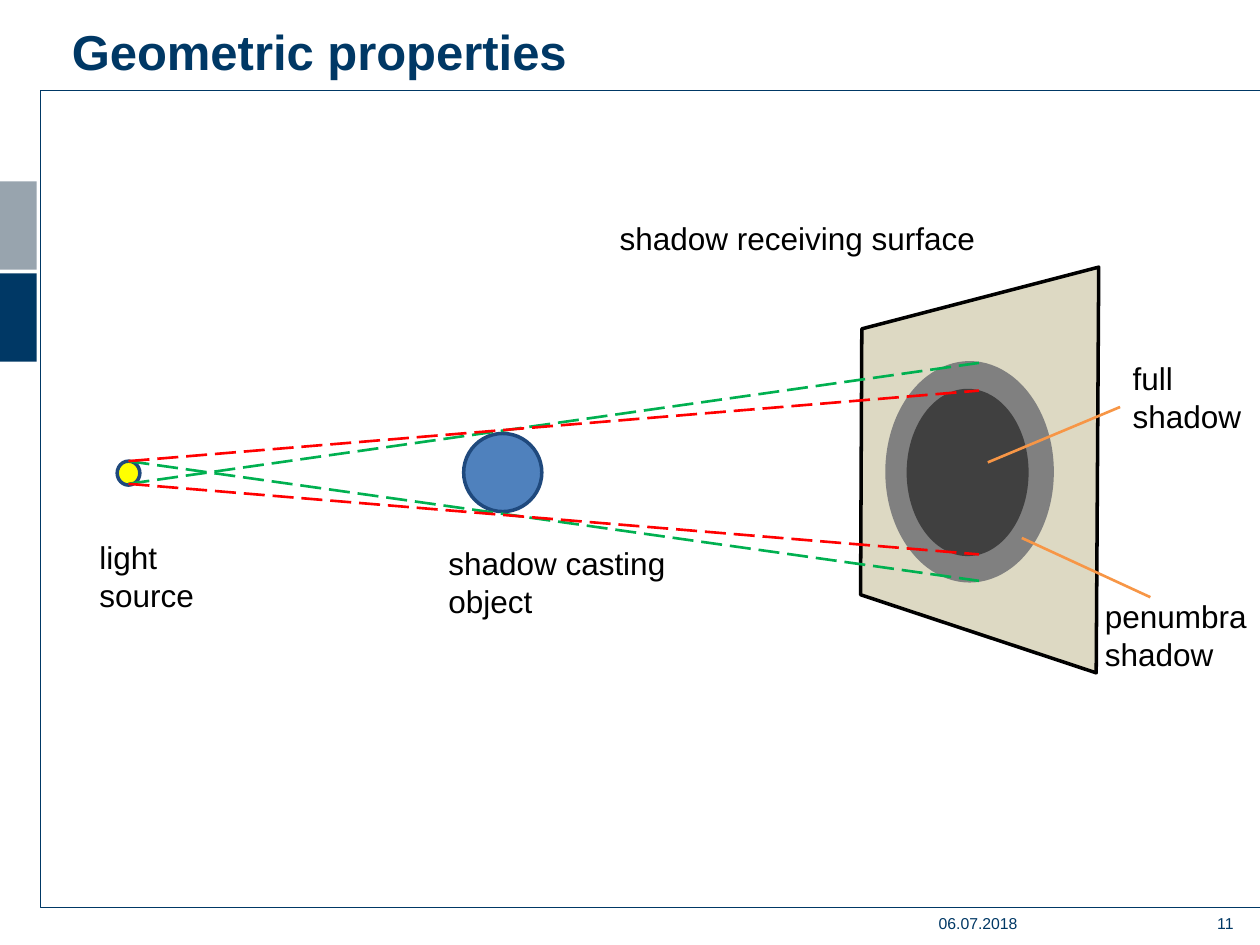
from dataclasses import dataclass, field

from lxml import etree
from pptx import Presentation
from pptx.dml.color import RGBColor
from pptx.enum.dml import MSO_LINE
from pptx.enum.shapes import MSO_CONNECTOR, MSO_SHAPE
from pptx.enum.text import PP_ALIGN
from pptx.oxml.ns import qn
from pptx.util import Inches, Pt

RECTANGLE, ELLIPSE = MSO_SHAPE.RECTANGLE, MSO_SHAPE.OVAL
STRAIGHT = MSO_CONNECTOR.STRAIGHT
LONG_DASH = MSO_LINE.LONG_DASH
LEFT, RIGHT = PP_ALIGN.LEFT, PP_ALIGN.RIGHT

COLORS = {
    "navy": "003865",
    "steel": "98A4AE",
    "ball": "4F81BD",
    "ball edge": "1F497D",
    "light": "FFFF00",
    "surface": "DDD9C3",
    "penumbra": "808080",
    "umbra": "404040",
    "outer ray": "00B050",
    "inner ray": "FF0000",
    "pointer": "F79646",
    "black": "000000",
}

Point = tuple[float, float]
Box = tuple[float, float, float, float]


@dataclass
class Solid:
    kind: int
    box: Box
    fill: str
    edge: str | None = None


@dataclass
class Segment:
    start: Point
    end: Point
    color: str
    dash: int | None = None


@dataclass
class Label:
    text: str
    box: Box
    size: float = 18
    color: str = "black"
    align: int = LEFT
    bold: bool = False
    margins: dict[str, float] = field(default_factory=dict)


def rgb(name: str) -> RGBColor:
    return RGBColor.from_string(COLORS[name])


def paint(shape, fill: str | None, edge: str | None, width: float = 2) -> None:
    shape.shadow.inherit = False
    if fill:
        shape.fill.solid()
        shape.fill.fore_color.rgb = rgb(fill)
    else:
        shape.fill.background()
    if edge:
        shape.line.color.rgb = rgb(edge)
        shape.line.width = Pt(width)
    else:
        shape.line.fill.background()


def draw_solid(slide, solid: Solid) -> None:
    shape = slide.shapes.add_shape(solid.kind, *map(Inches, solid.box))
    paint(shape, solid.fill, solid.edge)


def draw_outline(slide, points: list[Point], fill: str | None, edge: str,
                 width: float, close: bool) -> None:
    first, *rest = [(Inches(x), Inches(y)) for x, y in points]
    builder = slide.shapes.build_freeform(*first)
    builder.add_line_segments(rest, close=close)
    paint(builder.convert_to_shape(), fill, edge, width)


def draw_segment(slide, segment: Segment) -> None:
    ends = map(Inches, segment.start + segment.end)
    connector = slide.shapes.add_connector(STRAIGHT, *ends)
    connector.line.color.rgb = rgb(segment.color)
    connector.line.width = Pt(1.5)
    if segment.dash is not None:
        connector.line.dash_style = segment.dash
    etree.SubElement(connector._element.spPr, qn("a:effectLst"))


def draw_label(slide, label: Label) -> None:
    frame = slide.shapes.add_textbox(*map(Inches, label.box)).text_frame
    frame.word_wrap = True
    for side, margin in label.margins.items():
        setattr(frame, side, Inches(margin))
    paragraph = frame.paragraphs[0]
    paragraph.alignment = label.align
    run = paragraph.add_run()
    run.text = label.text
    font_format = {"name": "Arial", "size": Pt(label.size), "bold": label.bold}
    for attribute, value in font_format.items():
        setattr(run.font, attribute, value)
    run.font.color.rgb = rgb(label.color)


# Page furniture
SIDE_BARS = [
    Solid(RECTANGLE, (0, 2.17, 0.29, 0.7), "navy"),
    Solid(RECTANGLE, (0, 1.44, 0.29, 0.7), "steel"),
]
PAGE_FRAME = [(10, 0.72), (0.32, 0.72), (0.32, 7.2), (10, 7.2)]

# Light, caster and receiving surface
CASTER = Solid(ELLIPSE, (3.68, 3.44, 0.62, 0.62), "ball", "ball edge")
LIGHT = Solid(ELLIPSE, (0.93, 3.66, 0.18, 0.19), "light", "ball edge")
SURFACE = [(6.84, 2.61), (6.83, 4.72), (8.7, 5.34), (8.72, 2.12)]
PENUMBRA = Solid(ELLIPSE, (7.04, 2.88, 1.31, 1.73), "penumbra", "penumbra")
UMBRA = Solid(ELLIPSE, (7.21, 3.1, 0.94, 1.3), "umbra", "umbra")

# Rays run from the light's edges to the edges of each shadow
LIGHT_X, SHADOW_X = 1.02, 7.77
LIGHT_TOP, LIGHT_BOTTOM = 3.66, 3.84


def rays(shadow: Solid, from_top: float, from_bottom: float,
         color: str) -> list[Segment]:
    _, top, _, height = shadow.box
    return [
        Segment((LIGHT_X, from_top), (SHADOW_X, top), color, LONG_DASH),
        Segment((LIGHT_X, from_bottom), (SHADOW_X, top + height), color, LONG_DASH),
    ]


POINTERS = [
    Segment((8.11, 4.27), (9.13, 4.74), "pointer"),
    Segment((7.84, 3.67), (8.89, 3.23), "pointer"),
]

NO_MARGINS = dict.fromkeys(
    ("margin_left", "margin_top", "margin_right", "margin_bottom"), 0)
TITLE_MARGINS = NO_MARGINS | {"margin_top": 0.05}
LABELS = [
    Label("light source", (0.69, 4.22, 1.07, 0.71)),
    Label("shadow casting object", (3.46, 4.27, 2.33, 0.71)),
    Label("shadow receiving surface", (4.82, 1.69, 3.17, 0.4)),
    Label("penumbra shadow", (8.67, 4.69, 1.39, 0.71)),
    Label("full shadow", (8.89, 2.8, 1.39, 0.71)),
    Label("Geometric properties", (0.57, 0.12, 9.12, 0.38), 28, "navy",
          bold=True, margins=TITLE_MARGINS),
    Label("06.07.2018", (7.45, 7.25, 1.18, 0.21), 9, "navy", margins=NO_MARGINS),
    Label("11", (9, 7.25, 0.79, 0.21), 9, "navy", RIGHT, margins=NO_MARGINS),
]


def main() -> None:
    deck = Presentation()
    deck.slide_width, deck.slide_height = Inches(10), Inches(7.5)
    slide = deck.slides.add_slide(deck.slide_layouts[6])

    for bar in SIDE_BARS:
        draw_solid(slide, bar)
    draw_outline(slide, PAGE_FRAME, None, "navy", 0.75, close=False)

    # Scene, from back to front
    draw_solid(slide, CASTER)
    draw_solid(slide, LIGHT)
    draw_outline(slide, SURFACE, "surface", "black", 2, close=True)
    draw_solid(slide, PENUMBRA)
    for ray in rays(PENUMBRA, LIGHT_BOTTOM, LIGHT_TOP, "outer ray"):
        draw_segment(slide, ray)
    draw_solid(slide, UMBRA)
    for ray in rays(UMBRA, LIGHT_TOP, LIGHT_BOTTOM, "inner ray"):
        draw_segment(slide, ray)

    # Annotations
    for pointer in POINTERS:
        draw_segment(slide, pointer)
    for label in LABELS:
        draw_label(slide, label)

    deck.save("out.pptx")


if __name__ == "__main__":
    main()
